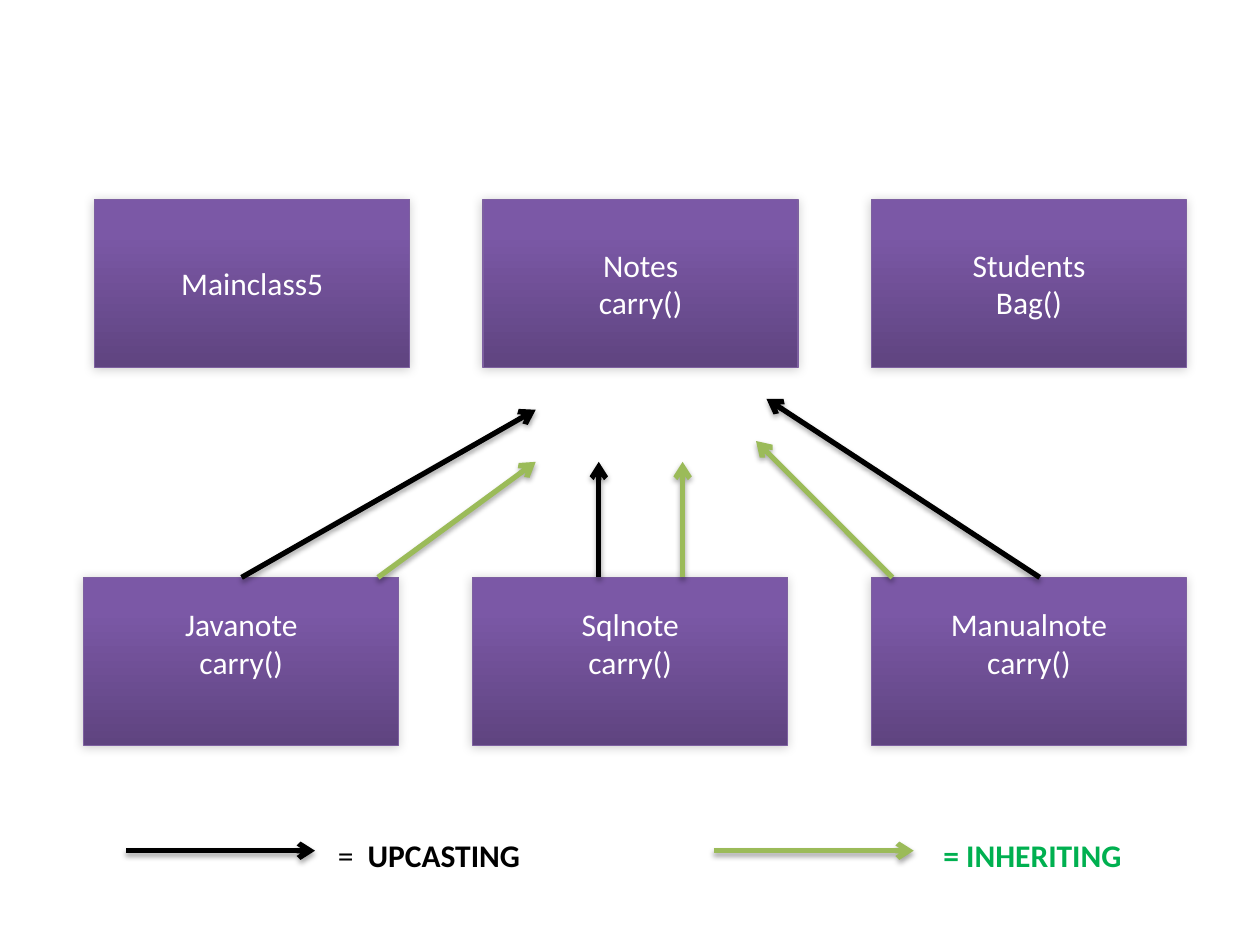
from copy import deepcopy
from dataclasses import dataclass

from lxml.etree import SubElement
from pptx import Presentation
from pptx.dml.color import RGBColor
from pptx.enum.shapes import MSO_CONNECTOR, MSO_SHAPE
from pptx.enum.text import MSO_ANCHOR, MSO_AUTO_SIZE, PP_ALIGN
from pptx.oxml.ns import qn
from pptx.slide import Slide
from pptx.util import Cm, Pt

BLACK = RGBColor(0x00, 0x00, 0x00)
WHITE = RGBColor(0xFF, 0xFF, 0xFF)
GREEN = RGBColor(0x9B, 0xBB, 0x59)
LABEL_GREEN = RGBColor(0x00, 0xB0, 0x50)
BORDER = RGBColor(0x7D, 0x60, 0xA0)
PURPLES = (
    (0, RGBColor(0x5F, 0x44, 0x80)),
    (0.8, RGBColor(0x7B, 0x58, 0xA6)),
    (1, RGBColor(0x7C, 0x57, 0xA8)),
)

BOX_WIDTH, BOX_HEIGHT = 6.35, 3.39
TOP_ROW, BOTTOM_ROW = 4.02, 11.64
LEGEND_LINE, LEGEND_TEXT = 17.15, 16.72
RAISED = 0.89  # bottom margin that lifts the text by half a line


@dataclass(frozen=True)
class ClassBox:
    left: float
    top: float
    lines: tuple[str, ...]
    bottom_margin: float = 0.13


@dataclass(frozen=True)
class Arrow:
    start: tuple[float, float]
    end: tuple[float, float]
    color: RGBColor


@dataclass(frozen=True)
class Shadow:
    opacity: int
    blur: float
    distance: float
    angle: int


BOX_SHADOW = Shadow(20, 6, 1, 135)
ARROW_SHADOW = Shadow(35, 3.1, 1.8, 90)

BOXES = (
    ClassBox(1.91, TOP_ROW, ("Mainclass5",)),
    ClassBox(9.74, TOP_ROW, ("Notes", "carry()")),
    ClassBox(17.57, TOP_ROW, ("Students", "Bag()")),
    ClassBox(9.53, BOTTOM_ROW, ("Sqlnote", "carry()"), RAISED),
    ClassBox(1.69, BOTTOM_ROW, ("Javanote", "carry()"), RAISED),
    ClassBox(17.57, BOTTOM_ROW, ("Manualnote", "carry()"), RAISED),
)

ARROWS = (
    Arrow((20.96, BOTTOM_ROW), (15.45, 8.04), BLACK),
    Arrow((4.87, BOTTOM_ROW), (10.8, 8.26), BLACK),
    Arrow((12.07, BOTTOM_ROW), (12.07, 9.31), BLACK),
    Arrow((13.76, BOTTOM_ROW), (13.76, 9.31), GREEN),
    Arrow((17.99, BOTTOM_ROW), (15.24, 8.89), GREEN),
    Arrow((7.62, BOTTOM_ROW), (10.8, 9.31), GREEN),
    Arrow((2.54, LEGEND_LINE), (6.35, LEGEND_LINE), BLACK),
    Arrow((14.39, LEGEND_LINE), (18.42, LEGEND_LINE), GREEN),
)


def add_shadow(item, shadow: Shadow) -> None:
    """Append an outer shadow; the outline must already be set."""
    effects = SubElement(item._element.spPr, qn("a:effectLst"))
    outer = SubElement(
        effects, qn("a:outerShdw"),
        blurRad=str(Pt(shadow.blur)), dist=str(Pt(shadow.distance)),
        dir=str(shadow.angle * 60000), rotWithShape="0",
    )
    color = SubElement(outer, qn("a:srgbClr"), val=str(BLACK))
    SubElement(color, qn("a:alpha"), val=str(shadow.opacity * 1000))


def fill_purple(shape) -> None:
    """Fill with the three-stop gradient, dark at the bottom."""
    shape.fill.gradient()
    shape.fill.gradient_angle = 90
    stop_list = shape._element.spPr.find(".//" + qn("a:gsLst"))
    stop_list.append(deepcopy(stop_list[-1]))
    for stop, (position, color) in zip(shape.fill.gradient_stops, PURPLES):
        stop.position = position
        stop.color.rgb = color


def add_span(para, text: str, *, color: RGBColor, bold: bool = False,
             spacing: float = 0) -> None:
    span = para.add_run()
    span.text = text
    span.font.name = "Calibri"
    span.font.size = Pt(18)
    span.font.bold = bold
    span.font.color.rgb = color
    if spacing:
        span.font._element.set("spc", str(round(spacing * 100)))


def add_box(page: Slide, box: ClassBox) -> None:
    shape = page.shapes.add_shape(
        MSO_SHAPE.RECTANGLE, Cm(box.left), Cm(box.top),
        Cm(BOX_WIDTH), Cm(BOX_HEIGHT),
    )
    fill_purple(shape)
    shape.line.color.rgb = BORDER
    shape.line.width = Pt(0.75)
    add_shadow(shape, BOX_SHADOW)
    frame = shape.text_frame
    frame.vertical_anchor = MSO_ANCHOR.MIDDLE
    frame.margin_bottom = Cm(box.bottom_margin)
    for index, text in enumerate(box.lines):
        para = frame.add_paragraph() if index else frame.paragraphs[0]
        para.alignment = PP_ALIGN.CENTER
        add_span(para, text, color=WHITE)


def add_arrow(page: Slide, arrow: Arrow) -> None:
    line = page.shapes.add_connector(
        MSO_CONNECTOR.STRAIGHT, *map(Cm, arrow.start + arrow.end))
    line.line.color.rgb = arrow.color
    line.line.width = Pt(3)
    SubElement(line.line._get_or_add_ln(), qn("a:tailEnd"), type="arrow")
    add_shadow(line, ARROW_SHADOW)


def add_label(page: Slide, left: float, width: float):
    """Add a legend text box and return its paragraph."""
    box = page.shapes.add_textbox(
        Cm(left), Cm(LEGEND_TEXT), Cm(width), Cm(1.03))
    box.text_frame.word_wrap = False
    box.text_frame.auto_size = MSO_AUTO_SIZE.SHAPE_TO_FIT_TEXT
    return box.text_frame.paragraphs[0]


def main() -> None:
    deck = Presentation()
    deck.slide_width, deck.slide_height = Cm(25.4), Cm(19.05)
    page = deck.slides.add_slide(deck.slide_layouts[6])
    for box in BOXES:
        add_box(page, box)
    for arrow in ARROWS:
        add_arrow(page, arrow)

    upcasting = add_label(page, 6.56, 4.23)
    add_span(upcasting, "= ", color=BLACK, spacing=2)
    add_span(upcasting, "UPCASTING", color=BLACK, bold=True)
    inheriting = add_label(page, 18.77, 4.15)
    add_span(inheriting, "= INHERITING", color=LABEL_GREEN, bold=True)

    deck.save("out.pptx")


if __name__ == "__main__":
    main()
